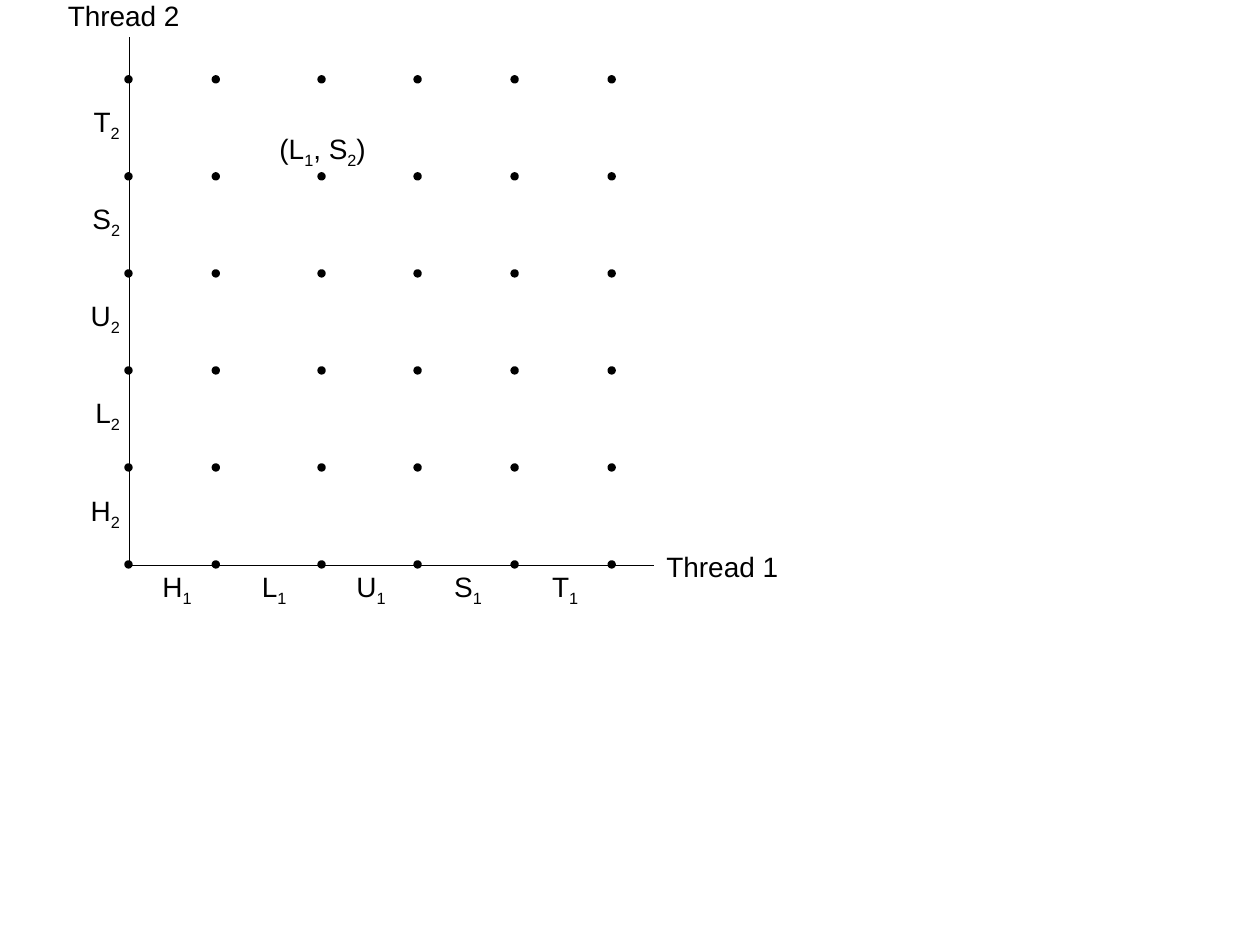
import pptx
import pptx.dml.color
import pptx.enum.shapes
import pptx.enum.text
import pptx.oxml.ns
import pptx.util
from lxml import etree

BLACK = pptx.dml.color.RGBColor(0, 0, 0)
DOT_COLUMNS = [0, 0.9, 1.99, 2.98, 3.98, 4.98]
DOT_ROWS = range(6)
STEP_WIDTHS = {"H": 0.58, "L": 0.53, "U": 0.58, "S": 0.56, "T": 0.55}


class ProgressGraph:
    font_name = "Arial"
    font_size = pptx.util.Pt(16)
    pitch = 0.77
    origin_left = 1.02
    origin_top = 4.48
    dot_size = 0.05
    label_height = 0.48

    def __init__(self, slide):
        self.slide = slide

    def place(self, column, row):
        return (
            pptx.util.Inches(self.origin_left + column * self.pitch),
            pptx.util.Inches(self.origin_top - row * self.pitch),
        )

    def frame(self, column, row, width, height):
        left, top = self.place(column - width / 2, row + height / 2)
        return (left, top, pptx.util.Inches(width * self.pitch),
                pptx.util.Inches(height * self.pitch))

    def axis(self, start, end):
        line = self.slide.shapes.add_connector(
            pptx.enum.shapes.MSO_CONNECTOR.STRAIGHT,
            *self.place(*start), *self.place(*end))
        line.line.color.rgb = BLACK
        line.line.width = pptx.util.Pt(1)
        etree.SubElement(line._element.spPr, pptx.oxml.ns.qn("a:effectLst"))

    def dot(self, column, row):
        dot = self.slide.shapes.add_shape(
            pptx.enum.shapes.MSO_SHAPE.OVAL,
            *self.frame(column, row, self.dot_size, self.dot_size))
        dot.shadow.inherit = False
        dot.fill.solid()
        dot.fill.fore_color.rgb = BLACK
        dot.line.color.rgb = BLACK
        dot.line.width = pptx.util.Pt(2)

    def label(self, column, row, width, pieces):
        box = self.slide.shapes.add_textbox(
            *self.frame(column, row, width, self.label_height))
        text = box.text_frame
        text.word_wrap = False
        text.auto_size = pptx.enum.text.MSO_AUTO_SIZE.SHAPE_TO_FIT_TEXT
        text.vertical_anchor = pptx.enum.text.MSO_ANCHOR.MIDDLE
        para = text.paragraphs[0]
        para.alignment = pptx.enum.text.PP_ALIGN.CENTER
        for piece in pieces:
            span = para.add_run()
            span.text = piece
            span.font.name = self.font_name
            span.font.size = self.font_size
            span.font.color.rgb = BLACK
            if piece.isdigit():
                span._r.get_or_add_rPr().set("baseline", "-25000")


def main():
    deck = pptx.Presentation()
    deck.slide_width = pptx.util.Inches(10)
    deck.slide_height = pptx.util.Inches(7.5)
    graph = ProgressGraph(deck.slides.add_slide(deck.slide_layouts[6]))

    corner = (0.01, -0.01)
    graph.axis(corner, (5.42, -0.01))
    graph.axis(corner, (0.01, 5.44))

    for index, (step, width) in enumerate(STEP_WIDTHS.items()):
        graph.label(index + 0.5, -0.25, width, [step, "1"])
        graph.label(0.05 - width / 2, index + 0.54, width, [step, "2"])

    for row in DOT_ROWS:
        for column in DOT_COLUMNS:
            graph.dot(column, row)

    graph.label(6.12, -0.02, 1.42, ["Thread 1"])
    graph.label(-0.05, 5.66, 1.42, ["Thread 2"])
    graph.label(2, 4.27, 1.19, ["(L", "1", ", S", "2", ")"])

    deck.save("out.pptx")


if __name__ == "__main__":
    main()
